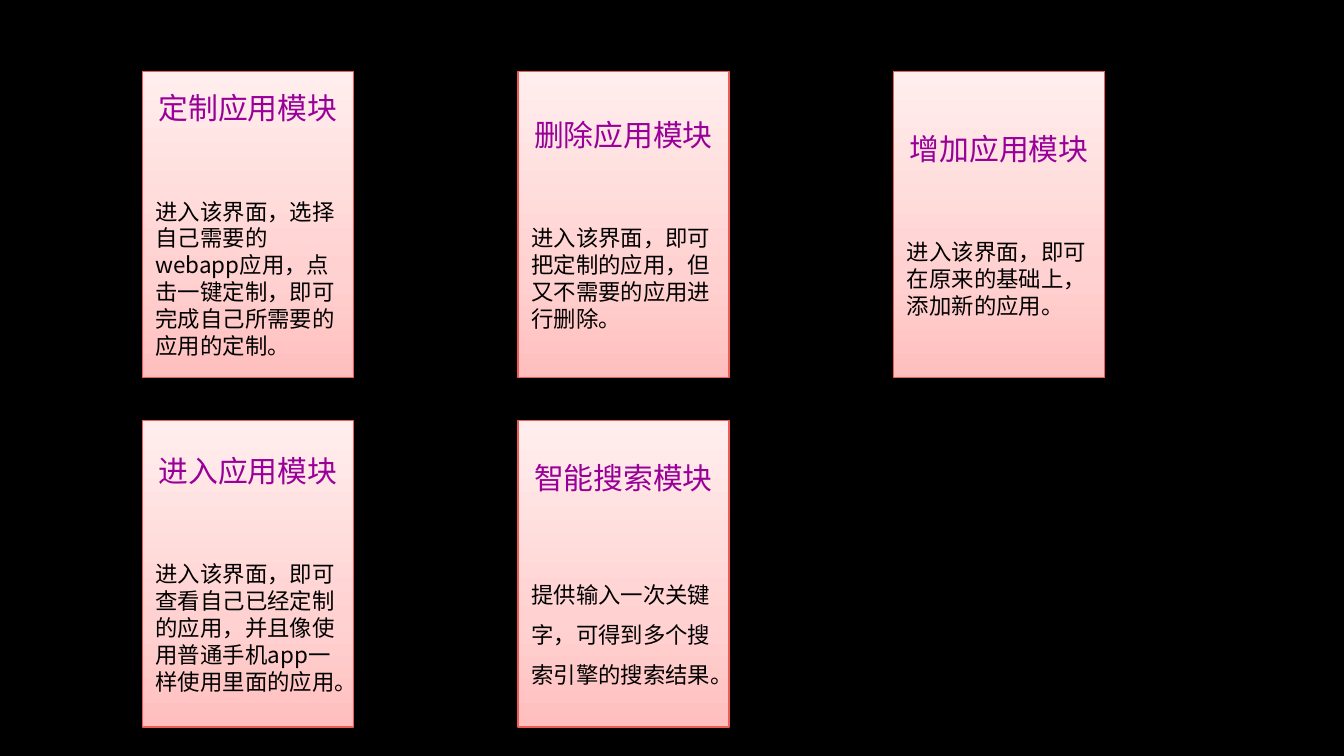
from copy import deepcopy

from lxml import etree
from pptx import Presentation
from pptx.dml.color import RGBColor
from pptx.enum import shapes, text
from pptx.oxml.ns import qn
from pptx.util import Inches, Pt

BLACK = RGBColor(0x00, 0x00, 0x00)
PURPLE = RGBColor(0x99, 0x00, 0x99)
CORAL = RGBColor(0xF0, 0x5B, 0x56)
GRADIENT = [
    (0, RGBColor(0xFF, 0xBF, 0xBE)),
    (0.35, RGBColor(0xFF, 0xD2, 0xD1)),
    (1, RGBColor(0xFF, 0xEE, 0xED)),
]
FONT = "Noto Sans CJK SC"

SLIDE_WIDTH = Inches(10)
SLIDE_HEIGHT = SLIDE_WIDTH * 9 // 16
LEFT, RIGHT_COLUMN, TOP = 1.06, 6.65, 0.53
CARD_WIDTH, CARD_HEIGHT = 1.57, 2.28
COLUMNS = 3
COLUMN_STEP = (RIGHT_COLUMN - LEFT) / (COLUMNS - 1)
ROW_STEP = 2.6

# Title, description, line spacing of the description
MODULES = [
    ("定制应用模块", "进入该界面，选择自己需要的webapp应用，点击一键定制，即可完成自己所需要的应用的定制。", 1),
    ("删除应用模块", "进入该界面，即可把定制的应用，但又不需要的应用进行删除。", 1),
    ("增加应用模块", "进入该界面，即可在原来的基础上，添加新的应用。", 1),
    ("进入应用模块", "进入该界面，即可查看自己已经定制的应用，并且像使用普通手机app一样使用里面的应用。", 1),
    ("智能搜索模块", "提供输入一次关键字，可得到多个搜索引擎的搜索结果。", 1.5),
]


def fill_gradient(shape):
    """Fill from dark at the bottom to light at the top."""
    shape.fill.gradient()
    shape.fill.gradient_angle = 90
    stop_list = shape._element.spPr.find(".//" + qn("a:gsLst"))
    stop_list.append(deepcopy(stop_list[0]))
    for stop, (position, color) in zip(shape.fill.gradient_stops, GRADIENT):
        stop.position = position
        stop.color.rgb = color


def add_shadow(shape):
    shape.shadow.inherit = False
    effects = shape._element.spPr.find(qn("a:effectLst"))
    shadow = etree.SubElement(
        effects, qn("a:outerShdw"), blurRad=str(Pt(3.1)), dist=str(Pt(1.6)),
        dir="5400000", rotWithShape="0")
    color = etree.SubElement(shadow, qn("a:srgbClr"), val=str(BLACK))
    etree.SubElement(color, qn("a:alpha"), val="38000")


def write_run(paragraph, words, size, color):
    run = paragraph.add_run()
    run.text = words
    run.font.size = Pt(size)
    run.font.color.rgb = color
    run.font.name = FONT
    etree.SubElement(run.font._element, qn("a:ea"), typeface=FONT)


def add_card(slide, left, top, title, description, line_spacing):
    card = slide.shapes.add_shape(
        shapes.MSO_SHAPE.RECTANGLE, Inches(left), Inches(top),
        Inches(CARD_WIDTH), Inches(CARD_HEIGHT))
    fill_gradient(card)
    card.line.color.rgb = CORAL
    card.line.width = Pt(0.75)
    add_shadow(card)

    frame = card.text_frame
    frame.word_wrap = True
    frame.vertical_anchor = text.MSO_ANCHOR.MIDDLE
    heading = frame.paragraphs[0]
    heading.alignment = text.PP_ALIGN.CENTER
    write_run(heading, title, 16, PURPLE)
    body = frame.add_paragraph()
    body.alignment = text.PP_ALIGN.LEFT
    body.space_before = Pt(38.5)
    body.line_spacing = line_spacing
    write_run(body, description, 12, BLACK)


def main():
    presentation = Presentation()
    presentation.slide_width = SLIDE_WIDTH
    presentation.slide_height = SLIDE_HEIGHT
    slide = presentation.slides.add_slide(presentation.slide_layouts[6])
    slide.background.fill.solid()
    slide.background.fill.fore_color.rgb = BLACK
    for index, module in enumerate(MODULES):
        row, column = divmod(index, COLUMNS)
        add_card(slide, LEFT + column * COLUMN_STEP, TOP + row * ROW_STEP, *module)
    presentation.save("out.pptx")


if __name__ == "__main__":
    main()
